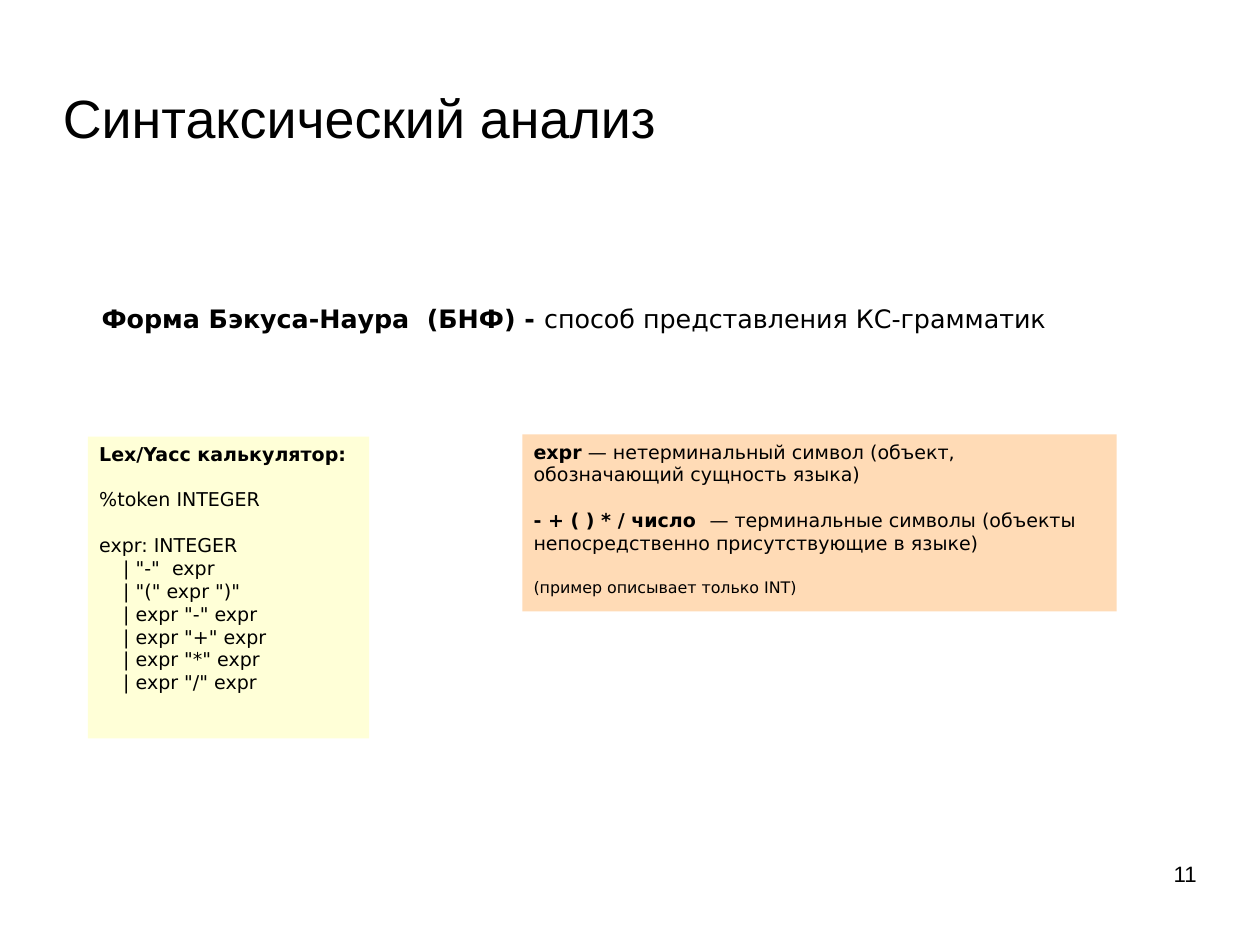
from pptx import Presentation
from pptx.dml.color import RGBColor
from pptx.enum.shapes import MSO_SHAPE
from pptx.enum.text import MSO_ANCHOR, PP_ALIGN
from pptx.util import Inches, Pt

TITLE = "Синтаксический анализ"
DEFINITION = [
    ("Форма Бэкуса-Наура  (БНФ) - ", True),
    ("способ представления КС-грамматик", False),
]
GRAMMAR_HEADING = "Lex/Yacc калькулятор:"
TOKEN_LINE = "%token INTEGER"
RULE_START = "expr: INTEGER"
ALTERNATIVES = [
    '| "-"  expr',
    '| "(" expr ")"',
    '| expr "-" expr',
    '| expr "+" expr',
    '| expr "*" expr',
    '| expr "/" expr',
]
SYMBOLS = [
    [("expr", True),
     (" — нетерминальный символ (объект, обозначающий сущность языка)", False)],
    [("- + ( ) * / число  ", True),
     ("— терминальные символы (объекты непосредственно присутствующие в языке)", False)],
]
EXAMPLE_NOTE = "(пример описывает только INT)"
PAGE = "11"

BODY_FONT = "DejaVu Sans"
HEADING_FONT = "Arial"
LINE_GAP = 14.4
INDENT = 0.21
CM_PER_INCH = 2.54

deck = Presentation()
deck.slide_width = Inches(28 / CM_PER_INCH)
deck.slide_height = Inches(21 / CM_PER_INCH)
slide = deck.slides.add_slide(deck.slide_layouts[6])


def color(hex_string):
    return RGBColor.from_string(hex_string)


def add_frame(left, top, width, height, fill=None, inset=(0.1, 0.05),
              anchor=MSO_ANCHOR.TOP):
    box = [Inches(length) for length in (left, top, width, height)]
    if fill:
        panel = slide.shapes.add_shape(MSO_SHAPE.RECTANGLE, *box)
        panel.shadow.inherit = False
        panel.fill.solid()
        panel.fill.fore_color.rgb = color(fill)
        panel.line.fill.background()
    else:
        panel = slide.shapes.add_textbox(*box)
    frame = panel.text_frame
    frame.word_wrap = True
    frame.vertical_anchor = anchor
    frame.margin_left = frame.margin_right = Inches(inset[0])
    frame.margin_top = frame.margin_bottom = Inches(inset[1])
    return frame


def write(frame, text, size=12, font=BODY_FONT, bold=False, before=0,
          indent=0, align=PP_ALIGN.LEFT):
    first = frame.paragraphs[0]
    paragraph = frame.add_paragraph() if first.runs else first
    paragraph.alignment = align
    paragraph.space_before = Pt(before)
    if indent:
        properties = paragraph._p.get_or_add_pPr()
        properties.set("marL", str(Inches(indent)))
        properties.set("indent", "0")
    for words, strong in [(text, bold)] if isinstance(text, str) else text:
        run = paragraph.add_run()
        run.text = words
        run.font.name = font
        run.font.size = Pt(size)
        run.font.bold = strong
        run.font.color.rgb = color("000000")


title = add_frame(0.55, 0.76, 6.06, 0.53, inset=(0, 0), anchor=MSO_ANCHOR.MIDDLE)
write(title, TITLE, size=33.9, font=HEADING_FONT)

definition = add_frame(0.79, 2.6, 8.9, 0.61)
write(definition, DEFINITION, size=16)

grammar = add_frame(0.77, 3.82, 2.46, 2.64, fill="FFFFD7")
write(grammar, GRAMMAR_HEADING, bold=True)
for line in (TOKEN_LINE, RULE_START):
    write(grammar, line, before=LINE_GAP)
for alternative in ALTERNATIVES:
    write(grammar, alternative, indent=INDENT)

symbols = add_frame(4.57, 3.8, 5.2, 1.55, fill="FFDBB6")
for number, symbol in enumerate(SYMBOLS):
    write(symbols, symbol, before=LINE_GAP if number else 0)
write(symbols, EXAMPLE_NOTE, size=10, before=LINE_GAP)

page = add_frame(7.9, 7.53, 2.57, 0.57, inset=(0, 0))
write(page, PAGE, size=14, font=HEADING_FONT, align=PP_ALIGN.RIGHT)

deck.save("out.pptx")
